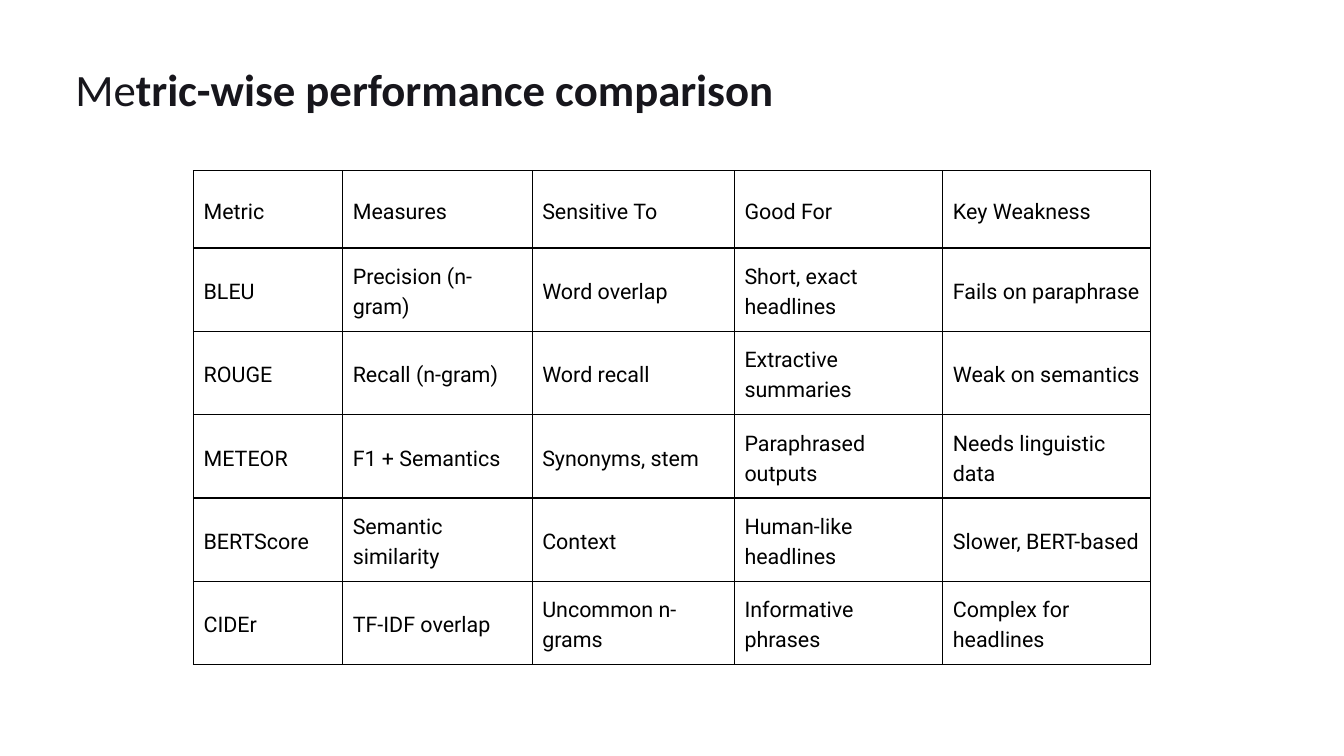
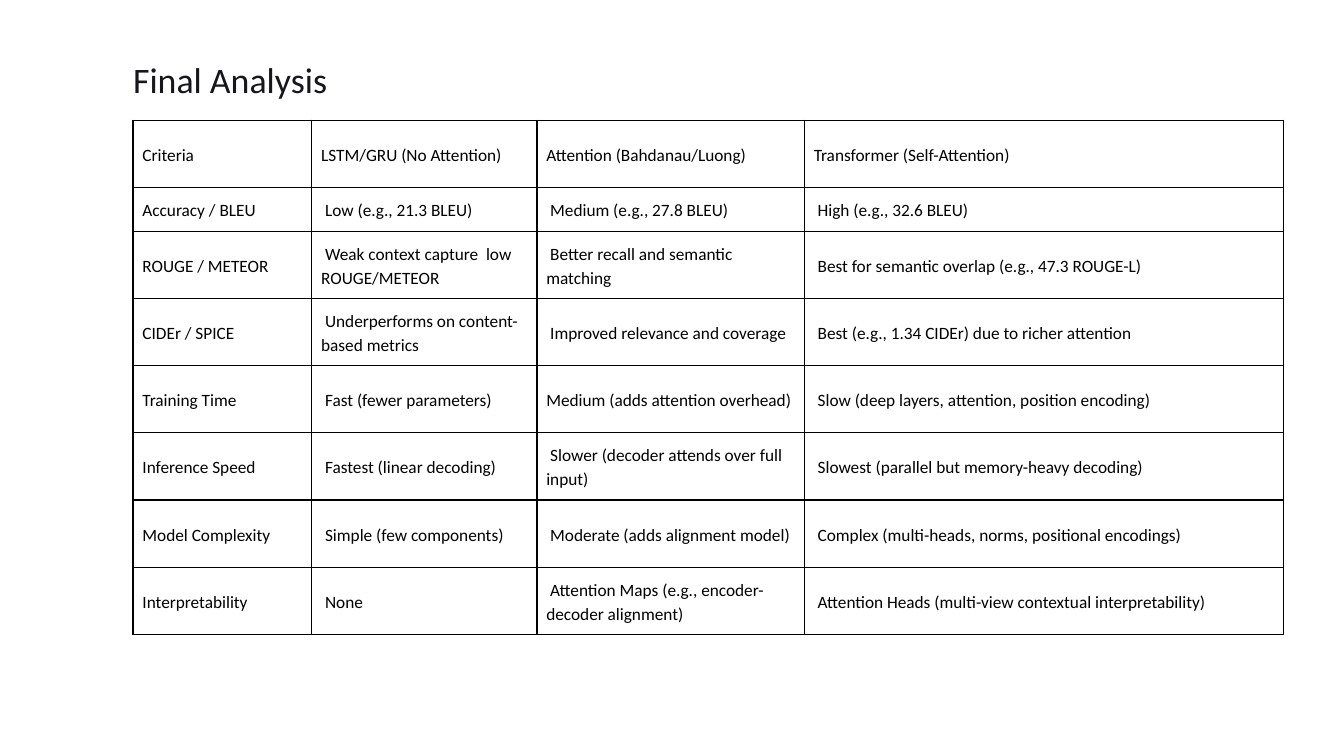
from lxml.etree import SubElement as Sub
from pptx import Presentation
from pptx.dml.color import RGBColor
from pptx.enum.text import MSO_ANCHOR as Anchor, MSO_AUTO_SIZE as Fit, PP_ALIGN as Align
from pptx.oxml.ns import qn
from pptx.util import Inches, Pt

INK = "17161C"
BLACK = "000000"
HEAD_FONT = "Calibri"
RULE = 1.5

METRICS = [
    ["Metric", "Measures", "Sensitive To", "Good For", "Key Weakness"],
    ["BLEU", "Precision (n-gram)", "Word overlap", "Short, exact headlines",
     "Fails on paraphrase"],
    ["ROUGE", "Recall (n-gram)", "Word recall", "Extractive summaries",
     "Weak on semantics"],
    ["METEOR", "F1 + Semantics", "Synonyms, stem", "Paraphrased outputs",
     "Needs linguistic data"],
    ["BERTScore", "Semantic similarity", "Context", "Human-like headlines",
     "Slower, BERT-based"],
    ["CIDEr", "TF-IDF overlap", "Uncommon n-grams", "Informative phrases",
     "Complex for headlines"],
]

MODELS = [
    ["Criteria", "LSTM/GRU (No Attention)", "Attention (Bahdanau/Luong)",
     "Transformer (Self-Attention)"],
    ["Accuracy / BLEU", " Low (e.g., 21.3 BLEU)", " Medium (e.g., 27.8 BLEU)",
     " High (e.g., 32.6 BLEU)"],
    ["ROUGE / METEOR", " Weak context capture  low ROUGE/METEOR",
     " Better recall and semantic matching",
     " Best for semantic overlap (e.g., 47.3 ROUGE-L)"],
    ["CIDEr / SPICE", " Underperforms on content-based metrics",
     " Improved relevance and coverage",
     " Best (e.g., 1.34 CIDEr) due to richer attention"],
    ["Training Time", " Fast (fewer parameters)", "Medium (adds attention overhead)",
     " Slow (deep layers, attention, position encoding)"],
    ["Inference Speed", " Fastest (linear decoding)",
     " Slower (decoder attends over full input)",
     " Slowest (parallel but memory-heavy decoding)"],
    ["Model Complexity", " Simple (few components)", " Moderate (adds alignment model)",
     " Complex (multi-heads, norms, positional encodings)"],
    ["Interpretability", " None", " Attention Maps (e.g., encoder-decoder alignment)",
     " Attention Heads (multi-view contextual interpretability)"],
]


def color(code):
    """Turn a hex string into a colour."""
    return RGBColor.from_string(code)


def style(run, font, size, code, bold=False):
    """Format one run of text."""
    run.font.name = font
    run.font.size = Pt(size)
    run.font.bold = bold
    run.font.color.rgb = color(code)


def inset(target, gap):
    """Give a cell or text frame the same margin on all sides."""
    target.margin_left = target.margin_right = Inches(gap)
    target.margin_top = target.margin_bottom = Inches(gap)


def add_title(slide, box, size, parts):
    """Place the slide title, made of (text, bold) parts."""
    title = slide.shapes.title
    title.left, title.top, title.width, title.height = map(Inches, box)
    frame = title.text_frame
    inset(frame, 0)
    frame.word_wrap = True
    frame.auto_size = Fit.SHAPE_TO_FIT_TEXT
    frame.vertical_anchor = Anchor.TOP
    para = frame.paragraphs[0]
    para.alignment = Align.LEFT
    para.line_spacing = Pt(size * 1.2)
    for text, bold in parts:
        run = para.add_run()
        run.text = text
        style(run, HEAD_FONT, size, INK, bold)


def add_rules(cell):
    """Draw the four borders of a cell."""
    props = cell._tc.get_or_add_tcPr()
    for spot, side in enumerate(("lnL", "lnR", "lnT", "lnB")):
        line = props.makeelement(qn(f"a:{side}"), {"w": str(Pt(RULE))})
        fill = Sub(line, qn("a:solidFill"))
        Sub(fill, qn("a:srgbClr"), val=BLACK)
        props.insert(spot, line)


def add_grid(slide, spot, cols, rows, data, font, size, gap):
    """Build a ruled table from its top left corner and its track sizes."""
    box = (*spot, sum(cols), sum(rows))
    table = slide.shapes.add_table(len(rows), len(cols), *map(Inches, box)).table
    table.first_row = table.horz_banding = False
    for col, width in zip(table.columns, cols):
        col.width = Inches(width)
    for row, height, texts in zip(table.rows, rows, data):
        row.height = Inches(height)
        for cell, text in zip(row.cells, texts):
            cell.fill.background()
            add_rules(cell)
            inset(cell, gap)
            cell.vertical_anchor = Anchor.MIDDLE
            para = cell.text_frame.paragraphs[0]
            para.text = text
            para.line_spacing = Pt(round(size * 1.4, 1))
            style(para.runs[0], font, size, BLACK)


def metric_slide(slide):
    """Compare the metrics."""
    add_grid(slide, (2.88, 2.54), [2.22, 2.82, 3.01, 3.1, 3.09],
             [1.15] + [1.24] * 5, METRICS, "Roboto", 23, 0.15)
    add_title(slide, (1.12, 0.92, 12.98, 0.79), 48,
              [("Me", False), ("tric-wise performance comparison", True)])


def final_slide(slide):
    """Compare the models."""
    add_grid(slide, (1.98, 1.79), [2.66, 3.35, 3.98, 7.13],
             [1, 0.65] + [1] * 6, MODELS, HEAD_FONT, 18.5, 0.14)
    add_title(slide, (1.98, 0.86, 8.32, 0.65), 38.4, [("Final Analysis", False)])


def main():
    """Build and save the deck."""
    deck = Presentation()
    deck.slide_width, deck.slide_height = Inches(20), Inches(11.25)
    for build in (metric_slide, final_slide):
        build(deck.slides.add_slide(deck.slide_layouts[5]))
    deck.save("out.pptx")


if __name__ == "__main__":
    main()
